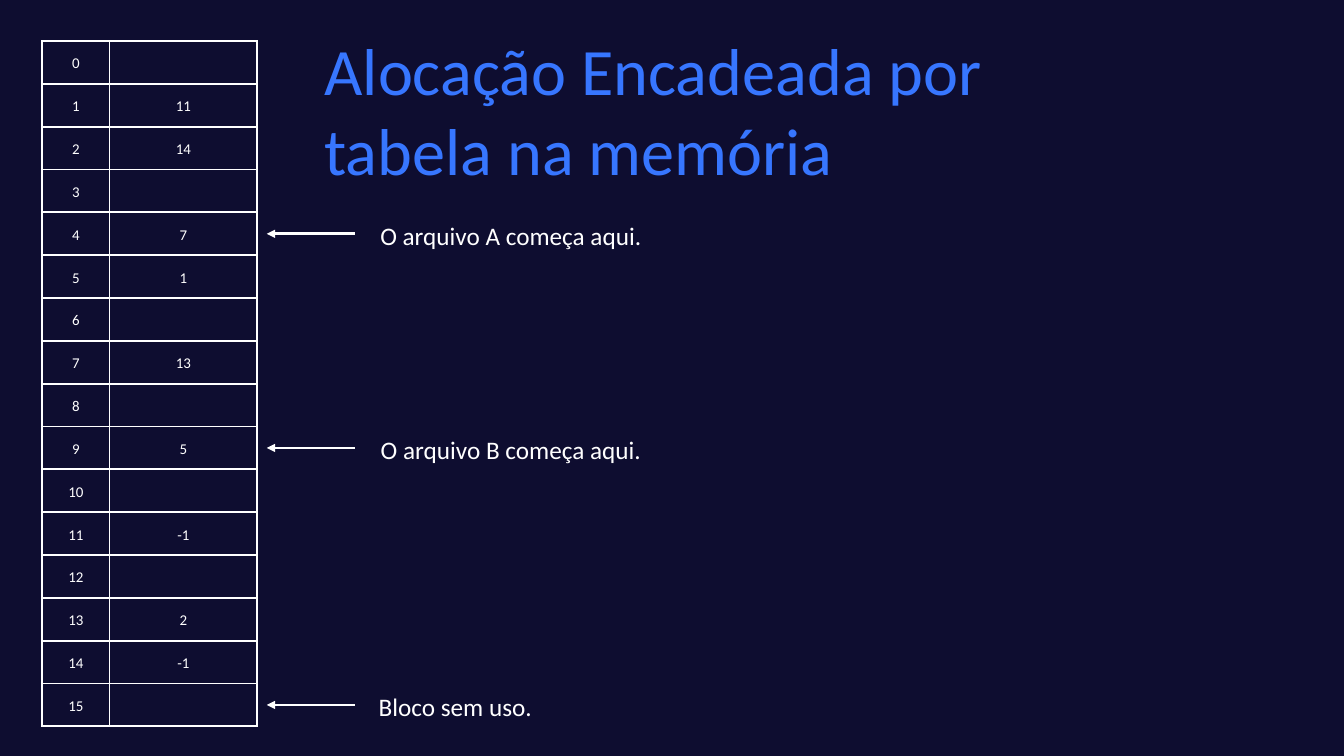
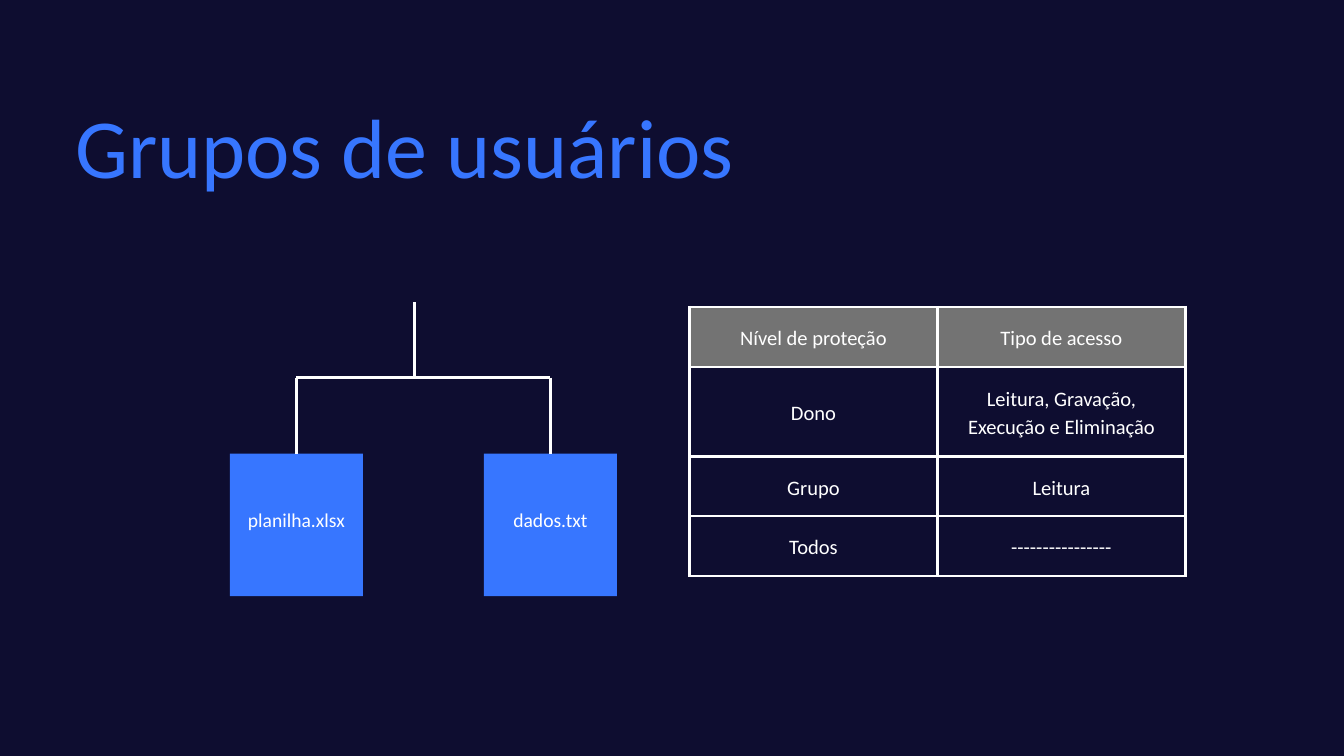
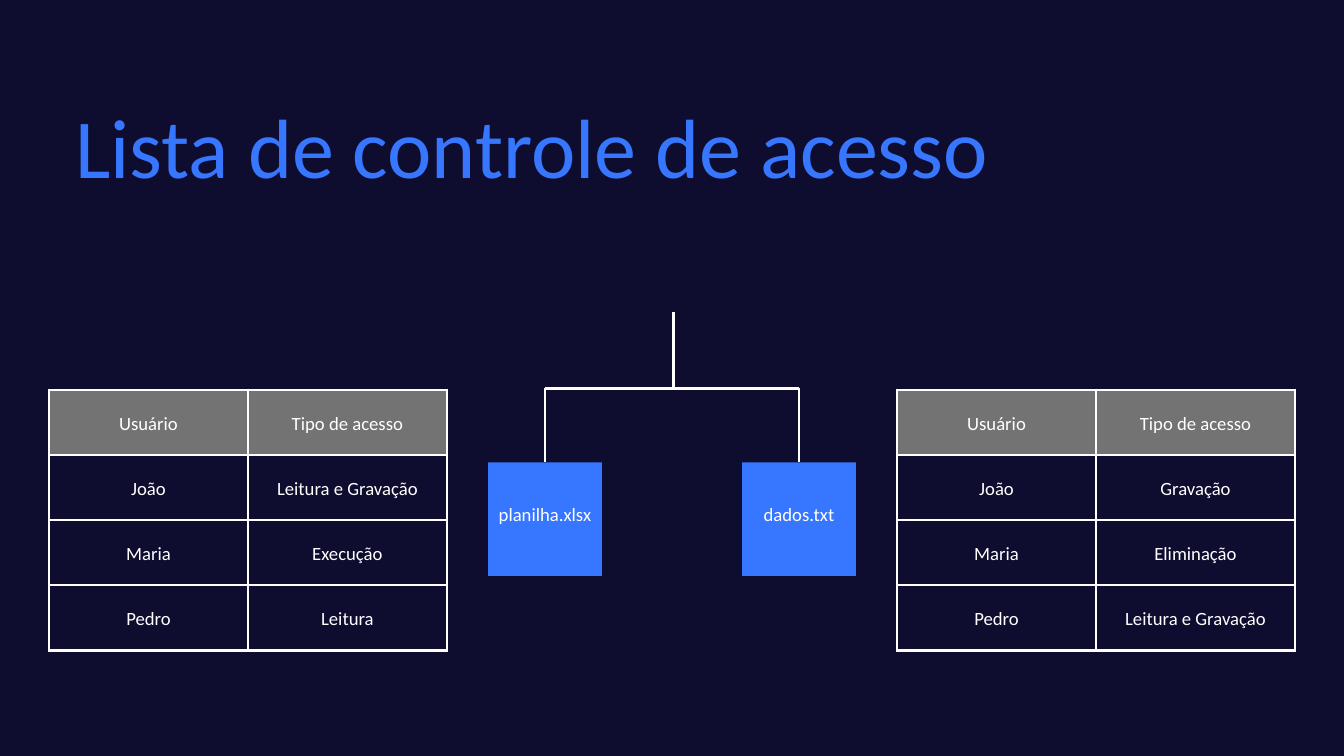
import pptx
import pptx.util
import pptx.dml.color
import pptx.enum.shapes
import pptx.enum.text
import pptx.oxml
import pptx.oxml.ns

COLORS = {"back": "0E0D30", "accent": "3776FF", "head": "737373", "text": "FFFFFF"}
RGB = {name: pptx.dml.color.RGBColor.from_string(c) for name, c in COLORS.items()}
FONT = "Calibri"
LINE = 3
ALIGN = pptx.enum.text.PP_ALIGN
MIDDLE = pptx.enum.text.MSO_ANCHOR.MIDDLE

prs = pptx.Presentation()
prs.slide_width = pptx.util.Inches(20)
prs.slide_height = pptx.util.Inches(11.25)
COL = prs.slide_width / 20  # square grid: 20 columns by 11.25 rows


def grid(*cells):
    return [round(n * COL) for n in cells]


def write(tf, text, size, color="text", align=ALIGN.CENTER, leading=1.4):
    tf.word_wrap = True
    p = tf.paragraphs[0]
    p.text = text
    p.alignment = align
    p.line_spacing = pptx.util.Pt(size * leading)
    p.font.name = FONT
    p.font.size = pptx.util.Pt(size)
    p.font.color.rgb = RGB[color]


# Block list: entry n names the block that follows block n
NEXT = {1: 11, 2: 14, 4: 7, 5: 1, 7: 13, 9: 5, 11: -1, 13: 2, 14: -1}
BLOCKS = 16
TOP, ROW = 0.61, 10.2 / BLOCKS
marks = [(4, "O arquivo A começa aqui.", 4.28),
         (9, "O arquivo B começa aqui.", 4.28),
         (15, "Bloco sem uso.", 2.63)]
mark_y = [TOP + (block + 0.5) * ROW for block, _, _ in marks]

# Title: text, size, place. Tree: left box centre, box top, box size, bar, stem.
# Table: left, top, column widths, row heights, font size, inset, border, rows.
slides = [
    {"title": ("Alocação Encadeada por tabela na memória", 71, (4.83, 0.44, 11.57, 2.36)),
     "tables": [(0.63, TOP, [1, 2.2], [ROW] * BLOCKS, 16, 0.15, 2.16,
                 [(n, NEXT.get(n, "")) for n in range(BLOCKS)])],
     "labels": [(text, (5.46, y - 0.28, width, 0.5))
                for (_, text, width), y in zip(marks, mark_y)],
     "arrows": [(5.28, y, 3.97, y) for y in mark_y]},
    {"title": ("Grupos de usuários", 90, (1.12, 1.4, 15.52, 1.51)),
     "tree": (4.41, 6.75, 1.98, 2.12, 5.62, 6.17, 4.5, 21),
     "tables": [(10.26, 4.57, [3.69] * 2, [0.89, 1.33, 0.89, 0.89], 22, 0.21, LINE,
                 [("Nível de proteção", "Tipo de acesso"),
                  ("Dono", "Leitura, Gravação, Execução e Eliminação"),
                  ("Grupo", "Leitura"),
                  ("Todos", "----------------")])]},
    {"title": ("Lista de controle de acesso", 90, (1.12, 1.4, 16.51, 1.51)),
     "tree": (8.11, 6.88, 1.69, 1.69, 5.78, 10.02, 4.64, 20),
     "tables": [(left, 5.8, [2.96] * 2, [0.97] * 4, 20, 0.21, LINE,
                 [("Usuário", "Tipo de acesso"),
                  *zip(("João", "Maria", "Pedro"), rights)])
                for left, rights in (
                    (0.73, ("Leitura e Gravação", "Execução", "Leitura")),
                    (13.35, ("Gravação", "Eliminação", "Leitura e Gravação")))]},
]
FILES = ("planilha.xlsx", "dados.txt")
FILE_GAP = 3.78

for page in slides:
    s = prs.slides.add_slide(prs.slide_layouts[6])
    s.background.fill.solid()
    s.background.fill.fore_color.rgb = RGB["back"]

    # File boxes and the lines of the tree
    lines = [(ends, False) for ends in ()]
    if "tree" in page:
        first, top, width, height, bar, stem, stem_top, size = page["tree"]
        lines = [((first, bar, first + FILE_GAP, bar), False),
                 ((stem, stem_top, stem, bar), False)]
        for i, name in enumerate(FILES):
            x = first + i * FILE_GAP
            lines.append(((x, bar, x, top), False))
            sp = s.shapes.add_shape(pptx.enum.shapes.MSO_SHAPE.RECTANGLE,
                                    *grid(x - width / 2, top, width, height))
            sp.shadow.inherit = False
            sp.fill.solid()
            sp.fill.fore_color.rgb = RGB["accent"]
            sp.line.fill.background()
            tf = sp.text_frame
            tf.margin_left, tf.margin_right, tf.margin_top, tf.margin_bottom = grid(
                0.06, 0.06, 0.06, 0.26)
            tf.vertical_anchor = MIDDLE
            write(tf, name, size)

    # Lines and arrows
    lines += [(ends, True) for ends in page.get("arrows", ())]
    for ends, arrow in lines:
        cn = s.shapes.add_connector(pptx.enum.shapes.MSO_CONNECTOR.STRAIGHT, *grid(*ends))
        cn.line.color.rgb = RGB["text"]
        cn.line.width = pptx.util.Pt(LINE)
        if arrow:
            ln = cn.line._get_or_add_ln()
            ln.append(pptx.oxml.parse_xml(
                f'<a:tailEnd {pptx.oxml.ns.nsdecls("a")} type="triangle"/>'))
        cn._element.spPr.append(pptx.oxml.parse_xml(
            f'<a:effectLst {pptx.oxml.ns.nsdecls("a")}/>'))

    # Tables
    for left, top, widths, heights, size, inset, border, rows in page["tables"]:
        tbl = s.shapes.add_table(len(heights), len(widths), *grid(
            left, top, sum(widths), sum(heights))).table
        tbl.first_row = tbl.horz_banding = False
        for column, width in zip(tbl.columns, widths):
            column.width = grid(width)[0]
        for r, (row, height) in enumerate(zip(tbl.rows, heights)):
            row.height = grid(height)[0]
            for cell, text in zip(row.cells, rows[r]):
                cell.margin_left, cell.margin_right, cell.margin_top, cell.margin_bottom = grid(
                    *[inset] * 4)
                cell.vertical_anchor = MIDDLE
                write(cell.text_frame, str(text), size)
                if "tree" in page:
                    cell.fill.solid()
                    cell.fill.fore_color.rgb = RGB["back" if r else "head"]
                else:
                    cell.fill.background()
                for i, side in enumerate("LRTB"):
                    cell._tc.get_or_add_tcPr().insert(i, pptx.oxml.parse_xml(
                        f'<a:ln{side} {pptx.oxml.ns.nsdecls("a")} w="{pptx.util.Pt(border)}">'
                        f'<a:solidFill><a:srgbClr val="{COLORS["text"]}"/></a:solidFill>'
                        f'</a:ln{side}>'))

    # Title and labels
    title, size, place = page["title"]
    texts = [(title, place, size, "accent", ALIGN.LEFT, 1.2)]
    texts += [(text, at, 27, "text", ALIGN.CENTER, 1.4) for text, at in page.get("labels", ())]
    for text, at, *style in texts:
        tf = s.shapes.add_textbox(*grid(*at)).text_frame
        tf.margin_left = tf.margin_right = tf.margin_top = tf.margin_bottom = 0
        write(tf, text, *style)

prs.save("out.pptx")
